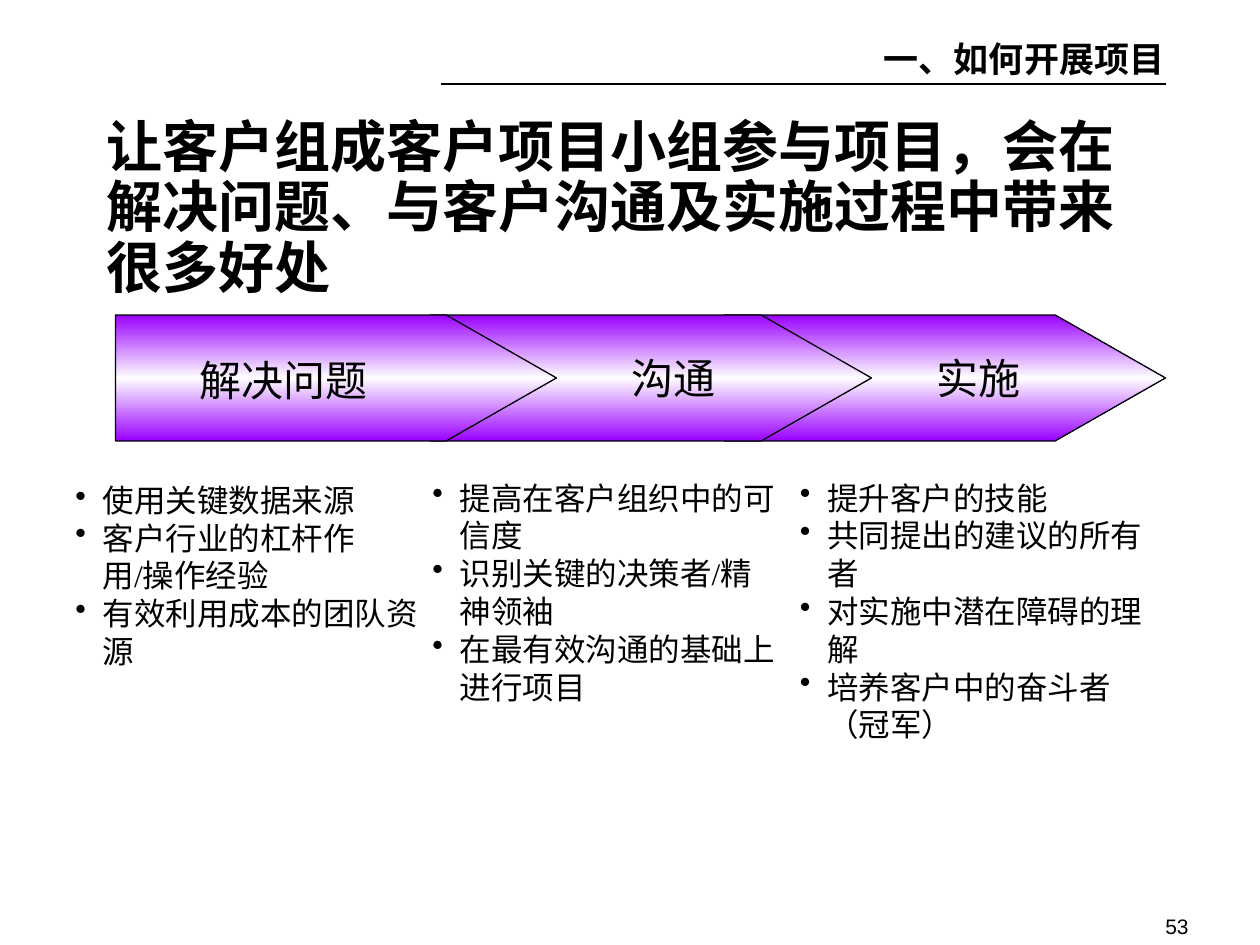
from lxml import etree
from pptx import Presentation
from pptx.dml.color import RGBColor
from pptx.enum.text import MSO_ANCHOR, MSO_AUTO_SIZE, PP_ALIGN
from pptx.enum.shapes import MSO_CONNECTOR
from pptx.oxml.ns import qn
from pptx.util import Emu, Pt

SCALE = 7620
BLACK = RGBColor(0x00, 0x00, 0x00)
WHITE = RGBColor(0xFF, 0xFF, 0xFF)
PURPLE = RGBColor(0x99, 0x00, 0xFF)
SERIF, SANS = "Times New Roman", "Arial"
LEFT, RIGHT = PP_ALIGN.LEFT, PP_ALIGN.RIGHT
TOP = MSO_ANCHOR.TOP
NO_FIT = MSO_AUTO_SIZE.NONE
STRAIGHT = MSO_CONNECTOR.STRAIGHT

ARROW_TOP, ARROW_WIDTH, ARROW_HEIGHT, ARROW_TIP = 300, 420, 120, 105
BULLET_INDENT = 26

HEADER = "一、如何开展项目"
TITLE = "让客户组成客户项目小组参与项目，会在解决问题、与客户沟通及实施过程中带来很多好处"
ARROW_LEFTS = (690, 410, 110)
LABELS = (
    ("解决问题", (178, 332, 184, 60)),
    ("沟通", (590, 330, 104, 60)),
    ("实施", (880, 330, 104, 60)),
)
BENEFITS = (
    ((60, 452, 350, 228),
     ("使用关键数据来源", "客户行业的杠杆作用/操作经验", "有效利用成本的团队资源")),
    ((400, 450, 350, 300),
     ("提高在客户组织中的可信度", "识别关键的决策者/精神领袖", "在最有效沟通的基础上进行项目")),
    ((750, 450, 350, 264),
     ("提升客户的技能", "共同提出的建议的所有者", "对实施中潜在障碍的理解",
      "培养客户中的奋斗者（冠军）")),
)


def px(length):
    """Turn a length in px into EMU."""
    return Emu(length * SCALE)


def format_text(shape, size, font=SERIF, bold=False, align=LEFT):
    """Format every run of a shape alike."""
    for para in shape.text_frame.paragraphs:
        para.alignment = align
        for span in para.runs:
            span.font.name = font
            span.font.size = Pt(size)
            span.font.bold = bold
            span.font.color.rgb = BLACK


def remove_insets(frame):
    """Set all four margins of a text frame to zero."""
    frame.margin_left = frame.margin_right = 0
    frame.margin_top = frame.margin_bottom = 0


def add_text(page, text, place, wrap=True):
    """Add a text box at a place given in px."""
    box = page.shapes.add_textbox(*map(px, place))
    box.text_frame.word_wrap = wrap
    box.text_frame.text = text
    return box


def add_bullets(page, items, place):
    """Add a text box with one bulleted paragraph per item."""
    box = add_text(page, "\n".join(items), place)
    for para in box.text_frame.paragraphs:
        properties = para._p.get_or_add_pPr()
        properties.set("marL", str(px(BULLET_INDENT)))
        properties.set("indent", str(px(-BULLET_INDENT)))
        etree.SubElement(properties, qn("a:buChar"), char="•")
    format_text(box, 18)


def add_arrow(page, left):
    """Add a pentagon arrow with a mirrored vertical gradient."""
    right, bottom = left + ARROW_WIDTH, ARROW_TOP + ARROW_HEIGHT
    shoulder = right - ARROW_TIP
    builder = page.shapes.build_freeform(left, ARROW_TOP, scale=SCALE)
    builder.add_line_segments((
        (shoulder, ARROW_TOP),
        (right, ARROW_TOP + ARROW_HEIGHT // 2),
        (shoulder, bottom),
        (left, bottom),
    ))
    arrow = builder.convert_to_shape()
    arrow.shadow.inherit = False
    arrow.line.color.rgb = BLACK
    arrow.line.width = Pt(0.75)
    arrow.fill.gradient()
    arrow.fill.gradient_angle = 270
    stops = arrow._element.spPr.find(qn("a:gradFill")).find(qn("a:gsLst"))
    stops.clear()
    for position, color in ((0, PURPLE), (50000, WHITE), (100000, PURPLE)):
        stop = etree.SubElement(stops, qn("a:gs"), pos=str(position))
        etree.SubElement(stop, qn("a:srgbClr"), val=str(color))


def add_rule(page, left, right, top):
    """Add a thin horizontal line."""
    rule = page.shapes.add_connector(STRAIGHT, px(left), px(top), px(right), px(top))
    rule.line.color.rgb = BLACK
    rule.line.width = Pt(0.75)
    etree.SubElement(rule._element.spPr, qn("a:effectLst"))


def set_title(page, text, place):
    """Place and format the title placeholder."""
    title = page.shapes.title
    title.left, title.top, title.width, title.height = map(px, place)
    frame = title.text_frame
    frame.text = text
    frame.word_wrap = True
    frame.auto_size = NO_FIT
    frame.vertical_anchor = TOP
    remove_insets(frame)
    frame.paragraphs[0].line_spacing = 0.9
    format_text(title, 32, SANS, bold=True)


def main():
    """Build the slide and save it."""
    deck = Presentation()
    deck.slide_width, deck.slide_height = px(1200), px(900)
    page = deck.slides.add_slide(deck.slide_layouts[5])
    add_rule(page, 420, 1110, 80)
    format_text(add_text(page, HEADER, (830, 30, 370, 53)), 20, bold=True)
    for left in ARROW_LEFTS:
        add_arrow(page, left)
    for text, place in LABELS:
        format_text(add_text(page, text, place, wrap=False), 24)
    for place, items in BENEFITS:
        add_bullets(page, items, place)
    set_title(page, TITLE, (101, 113, 1013, 58))
    number = add_text(page, "53", (884, 870, 248, 24))
    remove_insets(number.text_frame)
    format_text(number, 12, SANS, align=RIGHT)
    deck.save("out.pptx")


if __name__ == "__main__":
    main()
